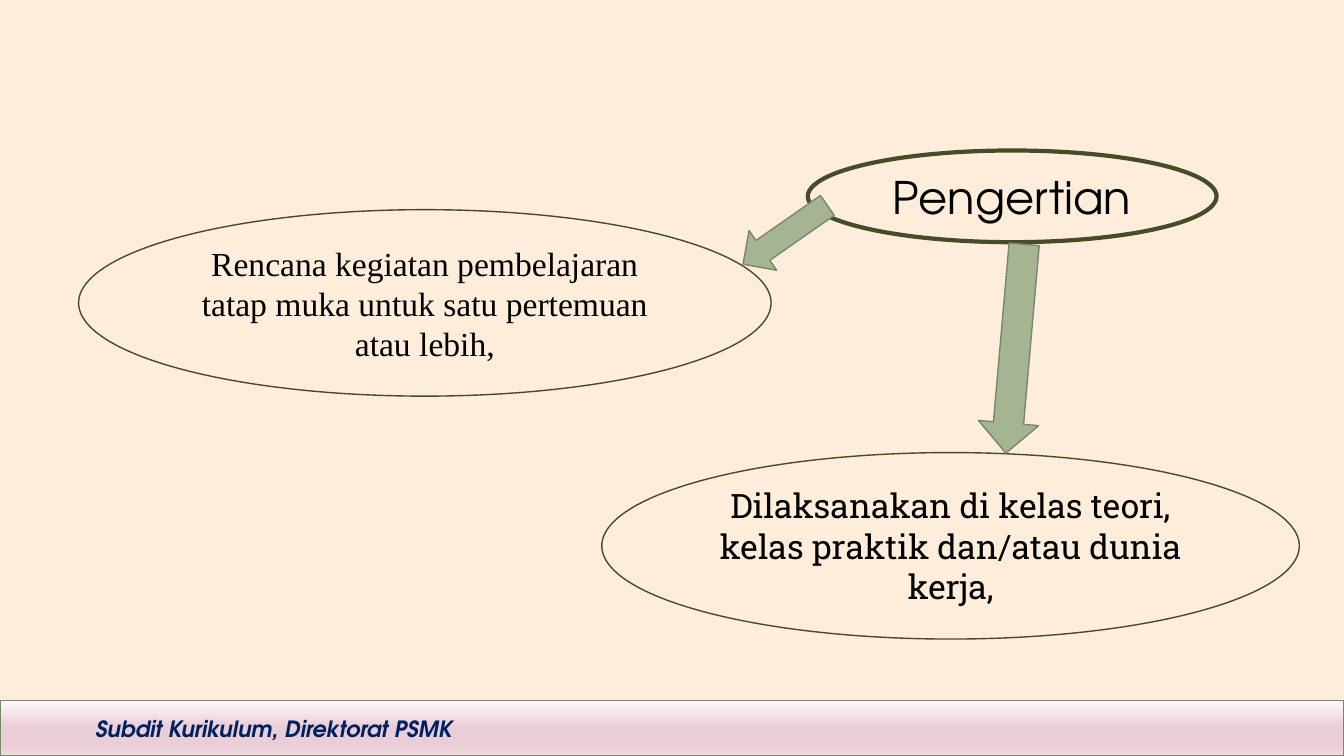
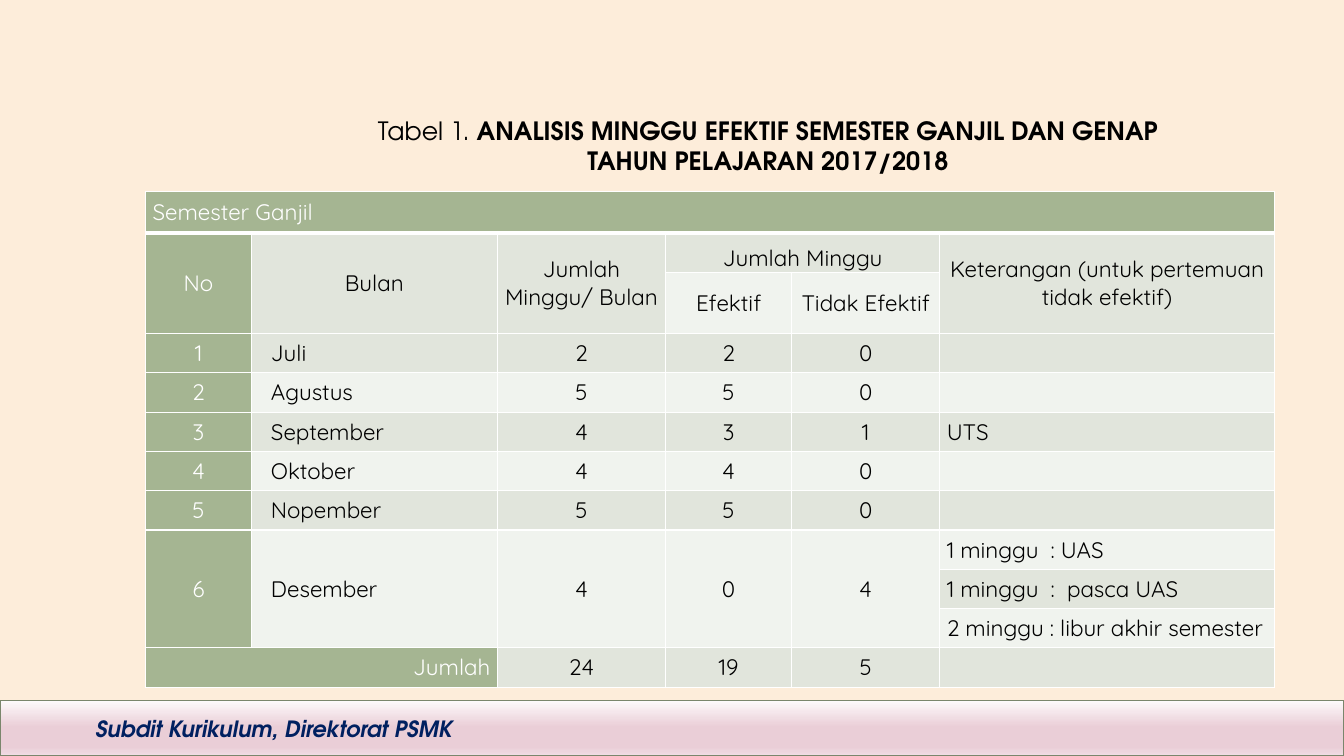
from dataclasses import dataclass

from lxml import etree
from pptx import Presentation
from pptx.dml.color import RGBColor
from pptx.enum import shapes, text
from pptx.oxml import ns
from pptx.util import Pt


@dataclass(frozen=True)
class Theme:
    """Colours, fonts and type sizes of the deck."""
    paper: str = "FDEDDA"
    ink: str = "000000"
    white: str = "FFFFFF"
    navy: str = "002060"
    olive: str = "444D26"
    sage: str = "A5B592"
    sage_edge: str = "7A866C"
    band_odd: str = "E1E5DC"
    band_even: str = "F0F3EE"
    footer_stops: tuple = ((0, "FDFAFB"), (48, "EACED7"), (84, "EACED7"), (100, "F1DEE5"))
    display: str = "TeX Gyre Adventor"
    serif: str = "Times New Roman"
    slab: str = "Roboto Slab"
    table: str = "Quicksand"
    heading_size: int = 32
    body_size: int = 24
    title_size: int = 18
    small_size: int = 16


THEME = Theme()
ALIGN = text.PP_ALIGN
ANCHOR = text.MSO_ANCHOR
WIDTH, HEIGHT = 960, 540
LABEL_ROWS = 3

COLUMNS = (75.6, 175.68, 120.24, 90, 105.84, 239.04)
ROW_HEIGHTS = (29.52, 28.08, 43.92) + (28.08,) * 9
ROWS = (
    ("Semester Ganjil",),
    ("No", "Bulan", "Jumlah Minggu/ Bulan", "Jumlah Minggu", "",
     "Keterangan (untuk pertemuan tidak efektif)"),
    ("", "", "", "Efektif", "Tidak Efektif"),
    ("1", "Juli", "2", "2", "0"),
    ("2", "Agustus", "5", "5", "0"),
    ("3", "September", "4", "3", "1", "UTS"),
    ("4", "Oktober", "4", "4", "0"),
    ("5", "Nopember", "5", "5", "0"),
    ("6", "Desember", "4", "0", "4", "1 minggu  : UAS"),
    ("", "", "", "", "", "1 minggu  :  pasca UAS"),
    ("", "", "", "", "", "2 minggu : libur akhir semester"),
    ("Jumlah", "", "24", "19", "5"),
)
MERGES = (
    [(0, 0, 0, 5), (1, 3, 1, 4), (11, 0, 11, 1)]
    + [(1, column, 2, column) for column in (0, 1, 2, 5)]
    + [(8, column, 10, column) for column in range(5)]
)


def rgb(value):
    """Turn a hex string into a colour."""
    return RGBColor.from_string(value)


def points(*values):
    """Turn numbers into lengths in points."""
    return [Pt(value) for value in values]


def add_span(para, words, font, size, color, bold=False, italic=False):
    """Append one formatted run to a paragraph."""
    span = para.add_run()
    span.text = words
    span.font.name, span.font.size = font, Pt(size)
    span.font.color.rgb = rgb(color)
    span.font.bold, span.font.italic = bold, italic


def add_figure(page, kind, frame, line, weight=1, fill=None, rotation=0):
    """Draw a preset shape without shadow, hollow unless a fill is given."""
    figure = page.shapes.add_shape(kind, *points(*frame))
    figure.shadow.inherit = False
    figure.rotation = rotation
    figure.line.color.rgb, figure.line.width = rgb(line), Pt(weight)
    if fill:
        figure.fill.solid()
        figure.fill.fore_color.rgb = rgb(fill)
    else:
        figure.fill.background()
    return figure


def add_bubble(page, frame, words, font, size, weight=1):
    """Draw an outlined ellipse with centred text."""
    bubble = add_figure(page, shapes.MSO_SHAPE.OVAL, frame, THEME.olive, weight)
    box = bubble.text_frame
    box.word_wrap, box.vertical_anchor = True, ANCHOR.MIDDLE
    para = box.paragraphs[0]
    para.alignment = ALIGN.CENTER
    add_span(para, words, font, size, THEME.ink)


def add_arrow(page, frame, rotation):
    """Draw a rotated block arrow."""
    add_figure(page, shapes.MSO_SHAPE.DOWN_ARROW, frame, THEME.sage_edge,
               fill=THEME.sage, rotation=rotation)


def set_gradient(figure, stops):
    """Fill a shape with a vertical gradient of several stops."""
    figure.fill.gradient()
    figure.fill.gradient_angle = 270
    stop_list = figure.element.xpath(".//a:gsLst")[0]
    for stop in list(stop_list):
        stop_list.remove(stop)
    for percent, color in stops:
        stop = etree.SubElement(stop_list, ns.qn("a:gs"), pos=str(percent * 1000))
        etree.SubElement(stop, ns.qn("a:srgbClr"), val=color)


def style_master(deck, page):
    """Give the master its background, footer band and footer text."""
    master = deck.slide_master
    master.background.fill.solid()
    master.background.fill.fore_color.rgb = rgb(THEME.paper)
    band = add_figure(page, shapes.MSO_SHAPE.RECTANGLE, (0, 500.4, WIDTH, 39.6), THEME.sage_edge)
    set_gradient(band, THEME.footer_stops)
    footer = page.shapes.add_textbox(*points(61.2, 507.6, 280, 26.64))
    footer.text_frame.word_wrap = True
    add_span(footer.text_frame.paragraphs[0], "Subdit Kurikulum, Direktorat PSMK",
             THEME.display, THEME.small_size, THEME.navy, True, True)
    for number, part in enumerate((band, footer), 101):
        part.element.xpath("./p:nvSpPr/p:cNvPr")[0].set("id", str(number))
        master.shapes.element.append(part.element)


def set_title(page, frame, lines):
    """Place the title placeholder and write its lines of (words, bold) spans."""
    title = page.shapes.title
    title.left, title.top, title.width, title.height = points(*frame)
    box = title.text_frame
    box.word_wrap, box.auto_size = True, text.MSO_AUTO_SIZE.NONE
    box.vertical_anchor = ANCHOR.TOP
    for index, spans in enumerate(lines):
        para = box.add_paragraph() if index else box.paragraphs[0]
        para.alignment = ALIGN.CENTER
        for words, bold in spans:
            add_span(para, words, THEME.display, THEME.title_size, THEME.ink, bold)


def set_borders(cell, **weights):
    """Draw white borders of the given weights on a cell's sides."""
    properties = cell._tc.get_or_add_tcPr()
    for index, side in enumerate("LRTB"):
        line = etree.Element(ns.qn("a:ln" + side), w=str(Pt(weights.get(side, 1))))
        fill = etree.SubElement(line, ns.qn("a:solidFill"))
        etree.SubElement(fill, ns.qn("a:srgbClr"), val=THEME.white)
        properties.insert(index, line)


def cell_alignment(row, column):
    """Choose the alignment for a table position."""
    if row == len(ROWS) - 1 and column == 0:
        return ALIGN.RIGHT
    if row == 0 or (row >= LABEL_ROWS and column in (1, 5)):
        return ALIGN.LEFT
    return ALIGN.CENTER


def format_cell(cell, row, column, words):
    """Fill, frame and write one table cell."""
    labelled = row == 0 or column == 0
    cell.fill.solid()
    band = THEME.band_odd if row % 2 else THEME.band_even
    cell.fill.fore_color.rgb = rgb(THEME.sage if labelled else band)
    set_borders(cell, B=3 if row == 0 else 1, T=3 if row == 1 else 1)
    month = column == 1 and row >= LABEL_ROWS
    cell.margin_left, cell.margin_right = points(14 if month else 5, 5)
    cell.margin_top = cell.margin_bottom = Pt(0)
    cell.vertical_anchor = ANCHOR.BOTTOM if (row, column) == (1, 3) else ANCHOR.MIDDLE
    if words:
        para = cell.text_frame.paragraphs[0]
        para.alignment = cell_alignment(row, column)
        para.space_before = para.space_after = Pt(3)
        add_span(para, words, THEME.table, THEME.small_size,
                 THEME.white if labelled else THEME.ink)


def add_week_table(page, left, top):
    """Build the table of effective weeks."""
    frame = points(left, top, sum(COLUMNS), sum(ROW_HEIGHTS))
    table = page.shapes.add_table(len(ROWS), len(COLUMNS), *frame).table
    table.first_row = table.horz_banding = False
    for column, width in zip(table.columns, COLUMNS):
        column.width = Pt(width)
    for row, height in zip(table.rows, ROW_HEIGHTS):
        row.height = Pt(height)
    for row, entries in enumerate(ROWS):
        for column in range(len(COLUMNS)):
            words = entries[column] if column < len(entries) else ""
            format_cell(table.cell(row, column), row, column, words)
    for top_row, first, bottom_row, last in MERGES:
        table.cell(top_row, first).merge(table.cell(bottom_row, last))


def build_definition(page):
    """Build the slide that defines the plan."""
    add_bubble(page, (56.16, 149.76, 494.64, 133.2),
               "Rencana kegiatan pembelajaran tatap muka untuk satu pertemuan atau lebih,",
               THEME.serif, THEME.body_size)
    add_bubble(page, (429.84, 323.28, 498.24, 133.2),
               "Dilaksanakan di kelas teori, kelas praktik dan/atau dunia kerja,",
               THEME.slab, THEME.body_size)
    add_bubble(page, (577, 107.5, 292, 65.5), "Pengertian",
               THEME.display, THEME.heading_size, weight=3)
    add_arrow(page, (543.6, 131.04, 34.56, 73.44), 55.1)
    add_arrow(page, (703.44, 174.24, 43.2, 149.76), 5)


def build_weeks(page):
    """Build the slide with the table of effective weeks."""
    set_title(page, (234.72, 78.48, 627.84, 51.12), (
        (("Tabel 1. ", False), ("ANALISIS MINGGU EFEKTIF SEMESTER GANJIL DAN GENAP", True)),
        (("TAHUN PELAJARAN 2017/2018", True),),
    ))
    add_week_table(page, 104, 136.8)


def main():
    """Build and save the deck."""
    deck = Presentation()
    deck.slide_width, deck.slide_height = points(WIDTH, HEIGHT)
    title_only, blank = deck.slide_layouts[5], deck.slide_layouts[6]
    definition = deck.slides.add_slide(blank)
    style_master(deck, definition)
    build_definition(definition)
    build_weeks(deck.slides.add_slide(title_only))
    deck.save("out.pptx")


if __name__ == "__main__":
    main()
